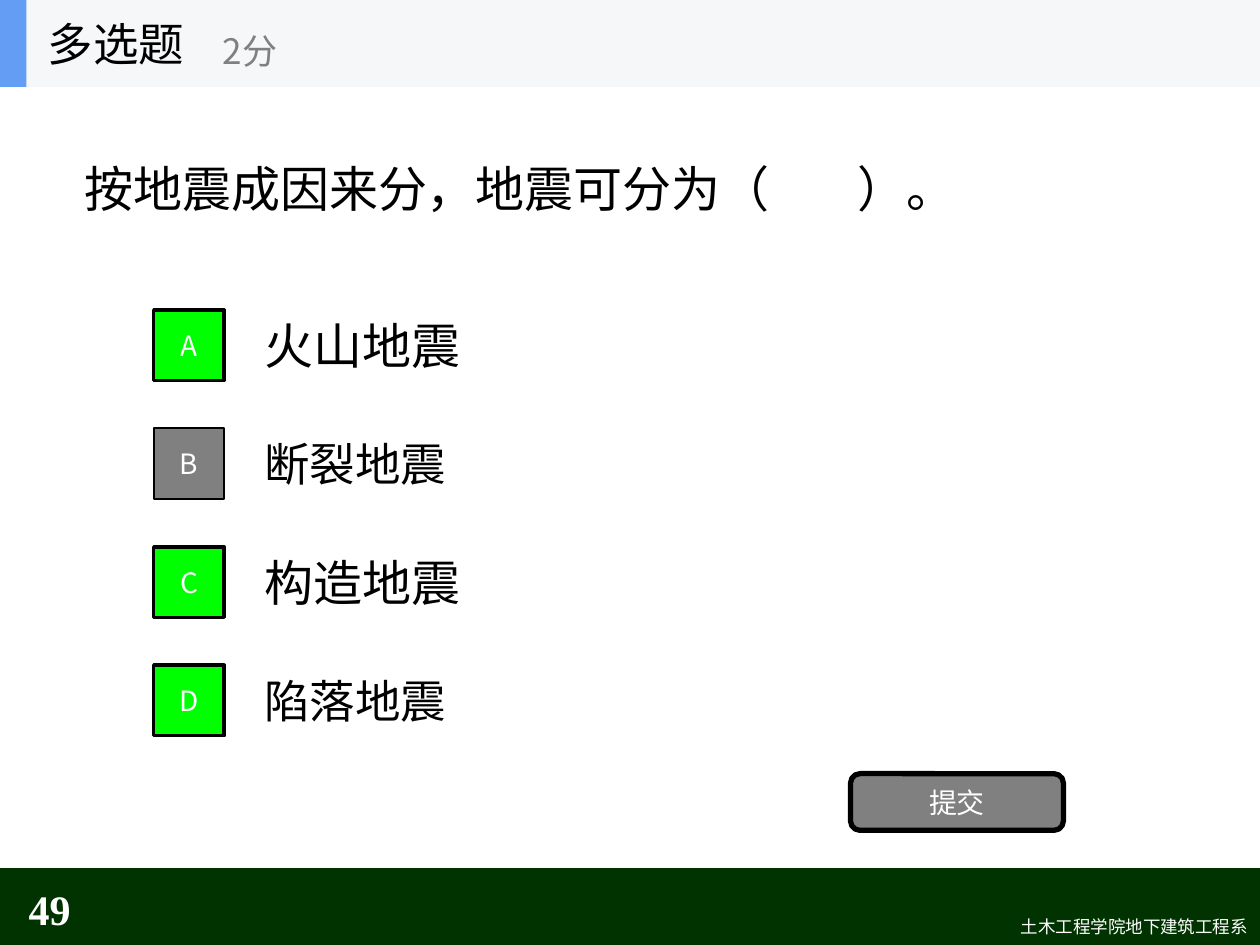
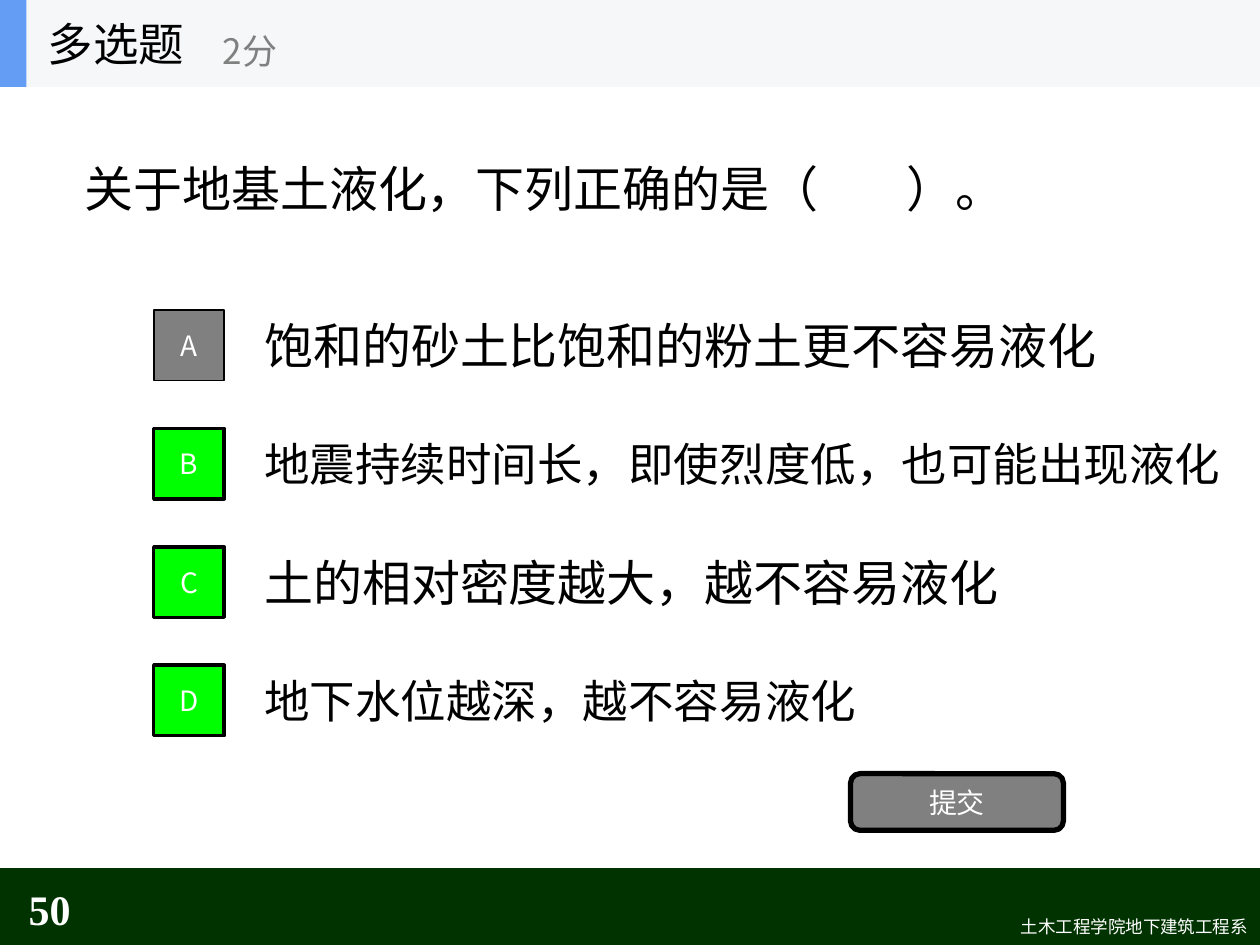
"""Build two multiple-choice quiz slides about earthquakes and soil liquefaction."""
import pptx
import pptx.dml.color
import pptx.enum.shapes
import pptx.enum.text
import pptx.oxml.ns
import pptx.util
from lxml import etree

Inches = pptx.util.Inches
RGBColor = pptx.dml.color.RGBColor
Shape = pptx.enum.shapes.MSO_SHAPE
Align = pptx.enum.text.PP_ALIGN
Anchor = pptx.enum.text.MSO_ANCHOR

BLACK = RGBColor(0x00, 0x00, 0x00)
WHITE = RGBColor(0xFF, 0xFF, 0xFF)
GRAY = RGBColor(0x80, 0x80, 0x80)
CORRECT_GREEN = RGBColor(0x00, 0xFF, 0x00)
FOOTER_GREEN = RGBColor(0x00, 0x33, 0x00)
HEADER_GRAY = RGBColor(0xF6, 0xF7, 0xF8)
ACCENT_BLUE = RGBColor(0x63, 0x9E, 0xF4)

SANS = "Noto Sans CJK SC"
SERIF = "Times New Roman"
QUESTION_SIZE = 28
ANSWER_GAP = 0.69
OPTION_PITCH = 0.94
OPTION_STYLES = [
    ("A", 7, {"size": 28, "name": SERIF}),
    ("B", 7.87, {"size": 26, "name": SANS}),
    ("C", 7, {"size": 28, "name": SERIF}),
    ("D", 7, {"size": 26, "name": SANS}),
]

QUESTIONS = [
    {
        "number": 49,
        "question": "按地震成因来分，地震可分为（\t）。",
        "options": ["火山地震", "断裂地震", "构造地震", "陷落地震"],
        "answers": "ACD",
    },
    {
        "number": 50,
        "question": "关于地基土液化，下列正确的是（\t）。",
        "options": [
            "饱和的砂土比饱和的粉土更不容易液化",
            "地震持续时间长，即使烈度低，也可能出现液化",
            "土的相对密度越大，越不容易液化",
            "地下水位越深，越不容易液化",
        ],
        "answers": "BCD",
    },
]


class QuizDeck:
    """Hold the quiz style and the slide being built."""

    def __init__(self):
        """Start an empty deck."""
        self.deck = pptx.Presentation()
        self.deck.slide_width = Inches(10)
        self.deck.slide_height = Inches(7.5)
        self.page = None

    def fill_text(self, box, text, align=Align.LEFT, anchor=Anchor.MIDDLE, **font_format):
        """Put one formatted paragraph into a shape and return it."""
        frame = box.text_frame
        frame.word_wrap = True
        frame.auto_size = pptx.enum.text.MSO_AUTO_SIZE.NONE
        frame.vertical_anchor = anchor
        para = frame.paragraphs[0]
        para.alignment = align
        span = para.add_run()
        span.text = text
        values = {"size": 16, "name": SANS, "bold": False} | font_format
        values["size"] = pptx.util.Pt(values["size"])
        span.font.color.rgb = values.pop("color", BLACK)
        for attribute, value in values.items():
            setattr(span.font, attribute, value)
        properties = span._r.get_or_add_rPr()
        etree.SubElement(properties, pptx.oxml.ns.qn("a:ea"), typeface=SANS)
        return para

    def add_text(self, place, text, **text_format):
        """Add a text box."""
        box = self.page.shapes.add_textbox(*map(Inches, place))
        self.fill_text(box, text, **text_format)

    def add_block(self, place, fill, kind=Shape.RECTANGLE, border=0, label=None):
        """Add a filled shape with an optional border and centred label."""
        block = self.page.shapes.add_shape(kind, *map(Inches, place))
        block.shadow.inherit = False
        block.fill.solid()
        block.fill.fore_color.rgb = fill
        if border:
            block.line.color.rgb = BLACK
            block.line.width = pptx.util.Pt(border)
        else:
            block.line.fill.background()
        if label:
            self.fill_text(block, label, align=Align.CENTER, color=WHITE)

    def add_question(self, question):
        """Fill the title, leaving the answer gap with a tab stop."""
        title = self.page.shapes.title
        title.left, title.top, title.width, title.height = map(
            Inches, (0.57, 0.79, 8.86, 1.41))
        para = self.fill_text(title, question, size=QUESTION_SIZE, name=SERIF)
        gap_end = question.index("\t") * QUESTION_SIZE / 72 + ANSWER_GAP
        properties = para._p.get_or_add_pPr()
        tabs = etree.SubElement(properties, pptx.oxml.ns.qn("a:tabLst"))
        etree.SubElement(tabs, pptx.oxml.ns.qn("a:tab"),
                         pos=str(Inches(gap_end)), algn="l")

    def add_option(self, row, text, answers):
        """Add one answer line with its letter tile."""
        letter, width, font_format = OPTION_STYLES[row]
        offset = row * OPTION_PITCH
        correct = letter in answers
        self.add_text((2, 2.39 + offset, width, 0.7), text, **font_format)
        self.add_block((1.22, 2.46 + offset, 0.56, 0.56),
                       CORRECT_GREEN if correct else GRAY,
                       border=2 if correct else 1, label=letter)

    def add_header(self):
        """Add the question type band."""
        self.add_block((0, 0, 10, 0.69), HEADER_GRAY)
        self.add_block((0, 0, 0.21, 0.69), ACCENT_BLUE)
        self.add_text((0.28, 0, 2.08, 0.69), "多选题", size=26)
        self.add_text((1.67, 0.12, 2.5, 0.56), "2分", size=20, color=GRAY)

    def add_footer(self, number):
        """Add the bottom band with page number and department."""
        self.add_block((0, 6.89, 10, 0.61), FOOTER_GREEN)
        self.add_text((4.21, 7.22, 5.79, 0.27), "土木工程学院地下建筑工程系",
                      align=Align.RIGHT, anchor=Anchor.TOP, size=10, color=WHITE)
        self.add_text((0, 7.01, 0.66, 0.4), str(number), align=Align.RIGHT,
                      size=24, name=SERIF, bold=True, color=WHITE)

    def add_quiz(self, number, question, options, answers):
        """Add one complete question slide."""
        self.page = self.deck.slides.add_slide(self.deck.slide_layouts[5])
        self.add_footer(number)
        self.add_question(question)
        for row, text in enumerate(options):
            self.add_option(row, text, answers)
        self.add_block((6.75, 6.14, 1.69, 0.45), GRAY,
                       kind=Shape.ROUNDED_RECTANGLE, border=3, label="提交")
        self.add_header()


def main():
    """Build and save the deck."""
    quiz = QuizDeck()
    for entry in QUESTIONS:
        quiz.add_quiz(**entry)
    quiz.deck.save("out.pptx")


if __name__ == "__main__":
    main()
